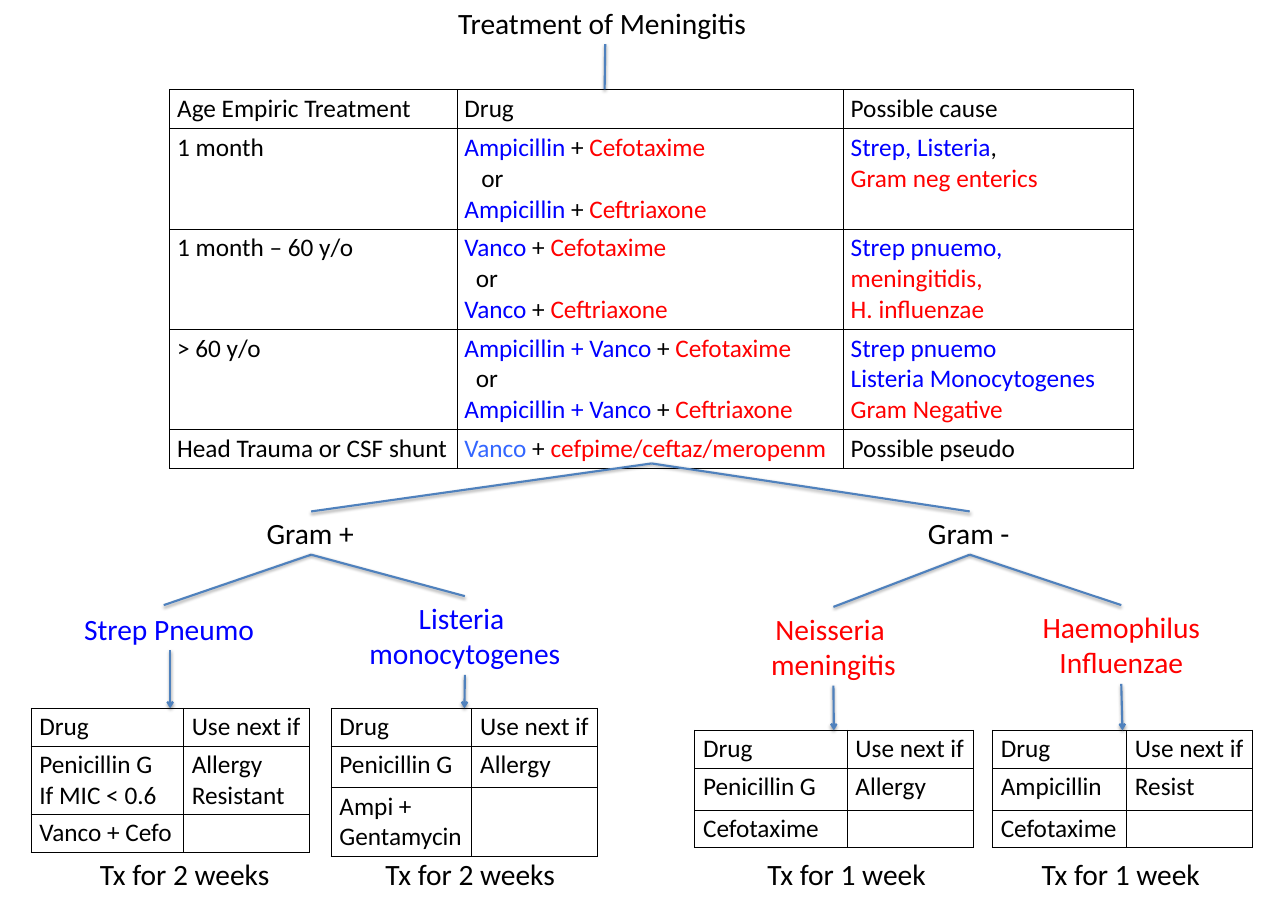
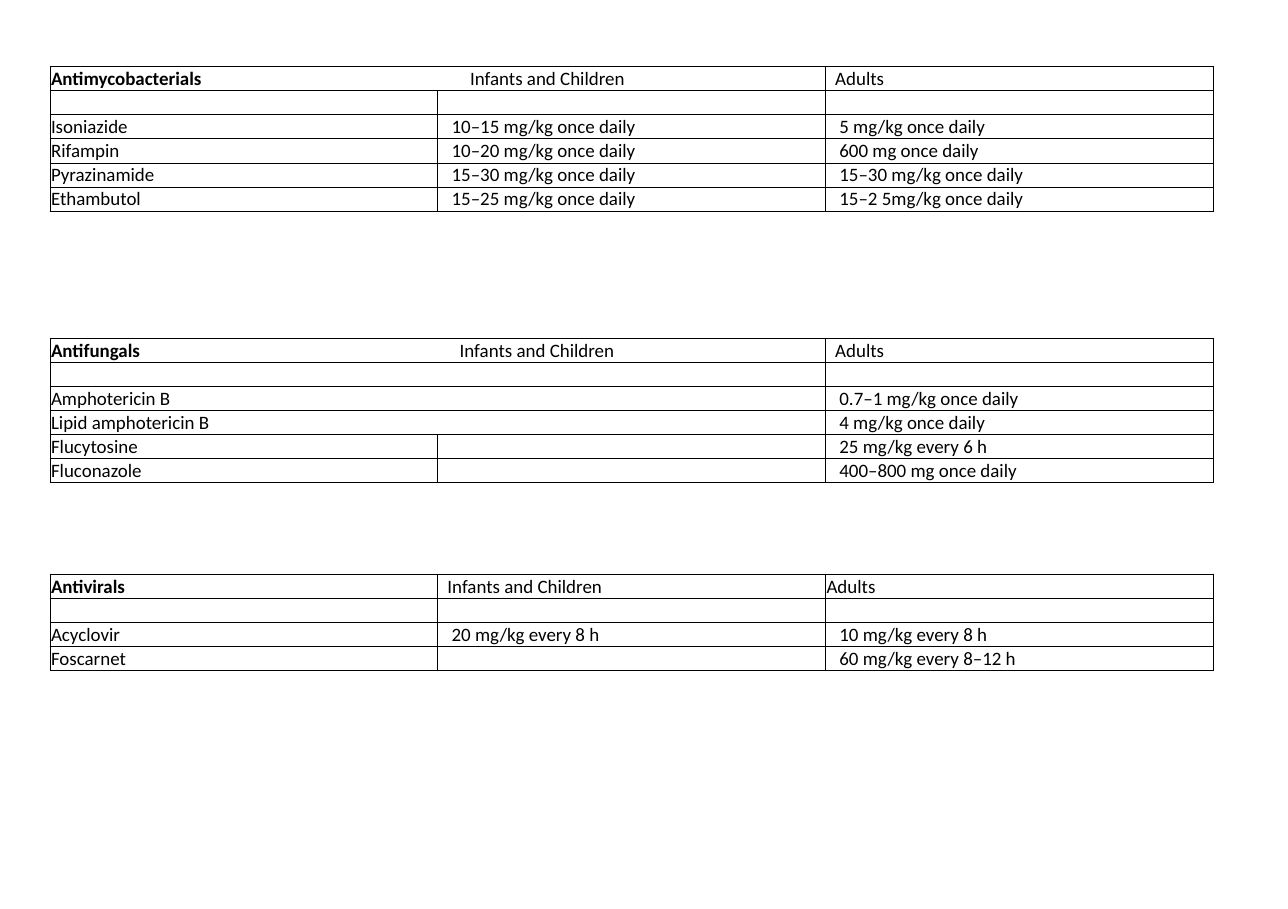
from lxml import etree
from pptx import Presentation
from pptx.dml.color import RGBColor
from pptx.enum.shapes import MSO_CONNECTOR
from pptx.enum.text import MSO_ANCHOR, PP_ALIGN
from pptx.oxml.ns import qn
from pptx.util import Cm, Pt

STRAIGHT = MSO_CONNECTOR.STRAIGHT
TOP, BOTTOM = 0, 2  # connection sites
FONT = "Calibri"
COLOURS = {"black": "000000", "blue": "0000FF", "red": "FF0000",
           "light blue": "3366FF", "line": "4F81BD"}
RGB = {key: RGBColor.from_string(value) for key, value in COLOURS.items()}


def write(frame, paragraphs, size, colour="black", align=None, indent=0):
    """Each paragraph is a string, or a list of (text, colour) runs."""
    for index, content in enumerate(paragraphs):
        paragraph = frame.paragraphs[0] if index == 0 else frame.add_paragraph()
        if indent:
            paragraph._p.get_or_add_pPr().set("marL", str(Cm(indent)))
        paragraph.font.name = FONT
        paragraph.font.size = Pt(size)
        if align is not None:
            paragraph.alignment = align
        if isinstance(content, str):
            paragraph.font.color.rgb = RGB[colour]
            paragraph.add_run().text = content
        else:
            for text, run_colour in content:
                run = paragraph.add_run()
                run.text = text
                run.font.color.rgb = RGB[run_colour]


def add_grid(slide, left, top, widths, heights, margins):
    """An unfilled table with thin black borders; margins are side, top, bottom."""
    frame = slide.shapes.add_table(len(heights), len(widths), Cm(left), Cm(top),
                                   Cm(sum(widths)), Cm(sum(heights)))
    table = frame.table
    table.first_row = table.horz_banding = False
    for column, width in zip(table.columns, widths):
        column.width = Cm(width)
    for row, height in zip(table.rows, heights):
        row.height = Cm(height)
    side, above, below = margins
    for cell in table.iter_cells():
        cell.margin_left = cell.margin_right = Cm(side)
        cell.margin_top, cell.margin_bottom = Cm(above), Cm(below)
        properties = cell._tc.get_or_add_tcPr()
        for edge in ("a:lnL", "a:lnR", "a:lnT", "a:lnB"):
            border = etree.SubElement(properties, qn(edge), w=str(Pt(1)))
            fill = etree.SubElement(border, qn("a:solidFill"))
            etree.SubElement(fill, qn("a:srgbClr"), val=COLOURS["black"])
        cell.fill.background()
    return frame


prs = Presentation()
prs.slide_width, prs.slide_height = Cm(43.18), Cm(30.48)
blank = prs.slide_layouts[6]

# Slide 1: treatment of meningitis
meningitis = prs.slides.add_slide(blank)

# Empiric treatment by age
empiric_rows = [
    (["Age Empiric Treatment"], ["Drug"], ["Possible cause"]),
    (["1 month"],
     [[("Ampicillin", "blue"), (" + ", "black"), ("Cefotaxime", "red")],
      "or",
      [("Ampicillin", "blue"), (" + ", "black"), ("Ceftriaxone", "red")]],
     [[("Strep, Listeria", "blue"), (",", "black")],
      [("Gram neg enterics", "red")]]),
    (["1 month – 60 y/o"],
     [[("Vanco ", "blue"), ("+ ", "black"), ("Cefotaxime", "red")],
      "or",
      [("Vanco ", "blue"), ("+ ", "black"), ("Ceftriaxone", "red")]],
     [[("Strep pnuemo,", "blue")], [("meningitidis,", "red")],
      [("H. influenzae", "red")]]),
    (["> 60 y/o"],
     [[("Ampicillin + Vanco ", "blue"), ("+ ", "black"), ("Cefotaxime", "red")],
      "or",
      [("Ampicillin + Vanco ", "blue"), ("+ ", "black"), ("Ceftriaxone", "red")]],
     [[("Strep pnuemo", "blue")], [("Listeria Monocytogenes", "blue")],
      [("Gram Negative", "red")]]),
    (["Head Trauma or CSF shunt"],
     [[("Vanco ", "light blue"), ("+ ", "black"),
       ("cefpime/ceftaz/meropenm", "red")]],
     ["Possible pseudo"]),
]
empiric = add_grid(meningitis, 5.69, 3, [9.63, 12.95, 9.73],
                   [1.32, 3.3, 3.3, 3.3, 1.32], (0.25, 0.13, 0.13))
for r, row in enumerate(empiric_rows):
    for c, paragraphs in enumerate(row):
        write(empiric.table.cell(r, c).text_frame, paragraphs, 24)
for r, indent in enumerate((0.57, 0.38, 0.38), start=1):
    alternative = empiric.table.cell(r, 1).text_frame.paragraphs[1]
    alternative._p.get_or_add_pPr().set("marL", str(Cm(indent)))

# Labels: key, lines, colour, left, top, width
labels = [
    ("title", ["Treatment of Meningitis"], "black", 15.11, 0.03, 10.36),
    ("gram +", ["Gram +"], "black", 8.69, 17.15, 3.48),
    ("gram -", ["Gram -"], "black", 30.86, 17.15, 3.3),
    ("strep", ["Strep Pneumo"], "blue", 2.57, 20.35, 6.27),
    ("listeria", ["Listeria ", "monocytogenes"], "blue", 12.09, 19.99, 6.99),
    ("neisseria", ["Neisseria ", "meningitis"], "red", 25.58, 20.35, 4.72),
    ("haemophilus", ["Haemophilus ", "Influenzae"], "red", 34.67, 20.29, 5.84),
    ("strep course", ["Tx for 2 weeks"], "black", 3.1, 28.58, 6.35),
    ("listeria course", ["Tx for 2 weeks"], "black", 12.67, 28.58, 6.35),
    ("neisseria course", ["Tx for 1 week"], "black", 25.48, 28.58, 5.94),
    ("haemophilus course", ["Tx for 1 week"], "black", 34.67, 28.58, 5.94),
]
boxes = {}
for key, lines, colour, left, top, width in labels:
    boxes[key] = meningitis.shapes.add_textbox(
        Cm(left), Cm(top), Cm(width), Cm(1.45 if len(lines) == 1 else 2.64))
    boxes[key].text_frame.word_wrap = False
    write(boxes[key].text_frame, lines, 28, colour,
          PP_ALIGN.CENTER if len(lines) > 1 else None)

# Drugs by organism: key, left, top, drug column width, row heights, rows
drug_tables = [
    ("strep", 1.04, 23.75, 5.11, [1.27, 2.29, 1.27],
     [(["Penicillin G", "If MIC < 0.6"], ["Allergy", "Resistant"]),
      (["Vanco + Cefo"], [])]),
    ("listeria", 11.1, 23.75, 4.72, [1.27, 1.4, 2.29],
     [(["Penicillin G"], ["Allergy"]), (["Ampi +", "Gentamycin"], [])]),
    ("neisseria", 23.29, 24.49, 5.11, [1.27, 1.4, 1.27],
     [(["Penicillin G"], ["Allergy"]), (["Cefotaxime"], [])]),
    ("haemophilus", 33.27, 24.49, 4.5, [1.27, 1.4, 1.27],
     [(["Ampicillin"], ["Resist"]), (["Cefotaxime"], [])]),
]
# Links: start, end shape or point, arrow
links = [
    (boxes["title"], (20.27, 3), False),
    (empiric, boxes["gram +"], False),
    (empiric, boxes["gram -"], False),
    (boxes["gram +"], (5.49, 20.29), False),
    (boxes["gram +"], boxes["listeria"], False),
    (boxes["gram -"], boxes["neisseria"], False),
    (boxes["gram -"], boxes["haemophilus"], False),
]
for key, left, top, drug_width, heights, rows in drug_tables:
    drugs = add_grid(meningitis, left, top, [drug_width, 4.22], heights,
                     (0.28, 0.11, 0.11))
    for r, row in enumerate([(["Drug"], ["Use next if"])] + rows):
        for c, lines in enumerate(row):
            write(drugs.table.cell(r, c).text_frame, lines, 24)
    links.append((boxes[key], drugs, True))

# Tree lines and arrows
for start, end, arrow in links:
    to_point = isinstance(end, tuple)
    x, y = (Cm(end[0]), Cm(end[1])) if to_point else (end.left, end.top)
    link = meningitis.shapes.add_connector(STRAIGHT, x, y, x, y)
    link.begin_connect(start, BOTTOM)
    if not to_point:
        link.end_connect(end, TOP)
    link.line.color.rgb = RGB["line"]
    link.line.width = Pt(2)
    if arrow:
        etree.SubElement(link.line._get_or_add_ln(), qn("a:tailEnd"), type="arrow")

# Slide 2: dosage tables
dosages = prs.slides.add_slide(blank)
HEADER_INDENT, DOSE_INDENT = 0.29, 0.43

# Top, tab stop in the heading, rows merged over two columns, Adults indent, rows
dose_tables = [
    (2.24, 14.05, [0], HEADER_INDENT, [
        ("Antimycobacterials\tInfants and Children", "", "Adults"),
        ("", "", ""),
        ("Isoniazide", "10–15 mg/kg once daily", "5 mg/kg once daily"),
        ("Rifampin", "10–20 mg/kg once daily", "600 mg once daily"),
        ("Pyrazinamide", "15–30 mg/kg once daily", "15–30 mg/kg once daily"),
        ("Ethambutol", "15–25 mg/kg once daily", "15–2 5mg/kg once daily")]),
    (11.35, 13.7, [0, 1, 2, 3], HEADER_INDENT, [
        ("Antifungals\tInfants and Children", "", "Adults"),
        ("", "", ""),
        ("Amphotericin B", "", "0.7–1 mg/kg once daily"),
        ("Lipid amphotericin B", "", "4 mg/kg once daily"),
        ("Flucytosine", "", "25 mg/kg every 6 h"),
        ("Fluconazole", "", "400–800 mg once daily")]),
    (19.25, None, [], 0, [
        ("Antivirals", "Infants and Children", "Adults"),
        ("", "", ""),
        ("Acyclovir", "20 mg/kg every 8 h", "10 mg/kg every 8 h"),
        ("Foscarnet", "", "60 mg/kg every 8–12 h")]),
]
for top, tab_stop, merged_rows, adults_indent, rows in dose_tables:
    doses = add_grid(dosages, 1.68, top, [13] * 3, [0.79] * len(rows),
                     (0.03, 0.03, 0)).table
    for r in merged_rows:
        doses.cell(r, 0).merge(doses.cell(r, 1))
    for r, row in enumerate(rows):
        indents = ((0, DOSE_INDENT, DOSE_INDENT) if r
                   else (0, HEADER_INDENT, adults_indent))
        for c, text in enumerate(row):
            if not text:
                continue
            cell = doses.cell(r, c)
            cell.vertical_anchor = MSO_ANCHOR.BOTTOM
            group, tab, rest = text.partition("\t")
            runs = [(group, "black"), (tab + rest, "black")] if tab else text
            write(cell.text_frame, [runs], 18, indent=indents[c])
    heading = doses.cell(0, 0).text_frame.paragraphs[0]
    heading.runs[0].font.bold = True
    if tab_stop:
        tabs = etree.Element(qn("a:tabLst"))
        etree.SubElement(tabs, qn("a:tab"), pos=str(Cm(tab_stop)), algn="l")
        heading._p.get_or_add_pPr().insert(0, tabs)

prs.save("out.pptx")
